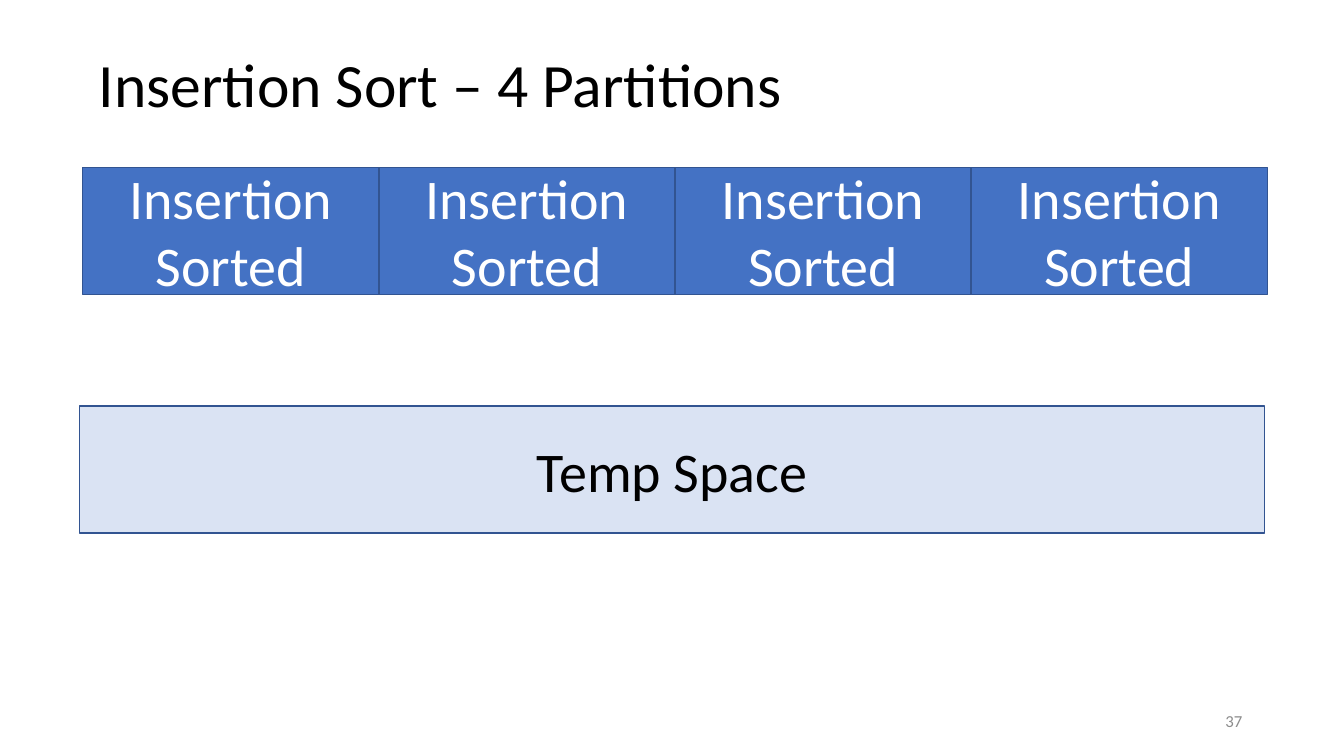
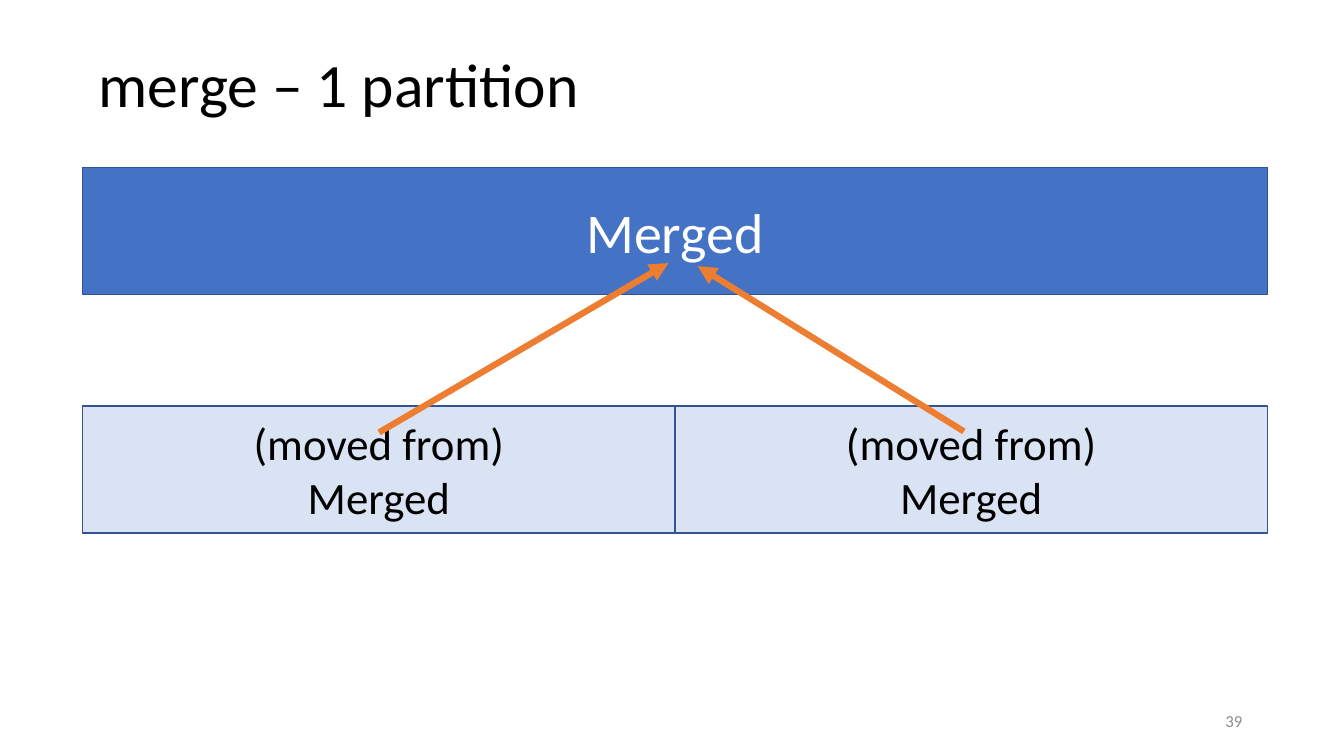
import pptx
import pptx.util
import pptx.dml.color
import pptx.enum.shapes
import pptx.enum.text
import pptx.oxml
import pptx.oxml.ns

Inches = pptx.util.Inches
Pt = pptx.util.Pt
RGBColor = pptx.dml.color.RGBColor
Align = pptx.enum.text.PP_ALIGN
Anchor = pptx.enum.text.MSO_ANCHOR

BLUE = RGBColor(0x44, 0x72, 0xC4)
PALE = RGBColor(0xDA, 0xE3, 0xF3)
EDGE = RGBColor(0x32, 0x54, 0x91)
ORANGE = RGBColor(0xED, 0x7D, 0x31)
GRAY = RGBColor(0x8C, 0x8C, 0x8C)
BLACK = RGBColor(0, 0, 0)
WHITE = RGBColor(255, 255, 255)

LEFT = 0.82
WIDTH = 11.75
HIGH = 1.26
DATA = 1.66
TEMP = 4.03


class Deck:
    font = "Calibri"

    def __init__(self):
        self.file = pptx.Presentation()
        self.file.slide_width = Inches(13.33)
        self.file.slide_height = Inches(7.5)

    def label(self, shape, text, size, color, align, anchor):
        frame = shape.text_frame
        frame.text = text
        frame.word_wrap = True
        frame.auto_size = pptx.enum.text.MSO_AUTO_SIZE.NONE
        frame.vertical_anchor = anchor
        for line in frame.paragraphs:
            line.alignment = align
            line.font.name = self.font
            line.font.size = Pt(size)
            line.font.color.rgb = color

    def start(self, title, number):
        self.slide = self.file.slides.add_slide(self.file.slide_layouts[5])
        head = self.slide.shapes.title
        head.left, head.top = Inches(0.88), Inches(0.41)
        head.width, head.height = Inches(9.85), Inches(0.84)
        self.label(head, title, 44, BLACK, Align.LEFT, Anchor.TOP)
        foot = self.slide.shapes.add_textbox(
            Inches(9.42), Inches(6.95), Inches(3), Inches(0.4))
        self.label(foot, number, 12, GRAY, Align.RIGHT, Anchor.MIDDLE)

    def row(self, top, texts, fill, color, size=40, left=LEFT):
        wide = WIDTH / len(texts)
        for i, text in enumerate(texts):
            box = self.slide.shapes.add_shape(
                pptx.enum.shapes.MSO_SHAPE.RECTANGLE,
                Inches(left + i * wide), Inches(top), Inches(wide), Inches(HIGH))
            box.shadow.inherit = False
            box.fill.solid()
            box.fill.fore_color.rgb = fill
            box.line.color.rgb = EDGE
            box.line.width = Pt(1)
            self.label(box, text, size, color, Align.CENTER, Anchor.MIDDLE)

    def arrow(self, x1, y1, x2, y2):
        link = self.slide.shapes.add_connector(
            pptx.enum.shapes.MSO_CONNECTOR.STRAIGHT,
            Inches(x1), Inches(y1), Inches(x2), Inches(y2))
        link.line.color.rgb = ORANGE
        link.line.width = Pt(4.5)
        space = pptx.oxml.ns.nsdecls("a")
        link.get_or_add_ln().append(
            pptx.oxml.parse_xml(f'<a:tailEnd {space} type="triangle"/>'))
        link.element.spPr.append(pptx.oxml.parse_xml(f"<a:effectLst {space}/>"))


deck = Deck()

deck.start("Insertion Sort – 4 Partitions", "37")
deck.row(DATA, ["Insertion Sorted"] * 4, BLUE, WHITE)
deck.row(TEMP, ["Temp Space"], PALE, BLACK, left=0.79)

deck.start("merge – 1 partition", "39")
deck.row(DATA, ["Merged"], BLUE, WHITE)
deck.row(TEMP, ["(moved from)\nMerged"] * 2, PALE, BLACK, size=32)
deck.arrow(3.76, 4.29, 6.63, 2.61)
deck.arrow(9.56, 4.28, 6.92, 2.64)

deck.file.save("out.pptx")
